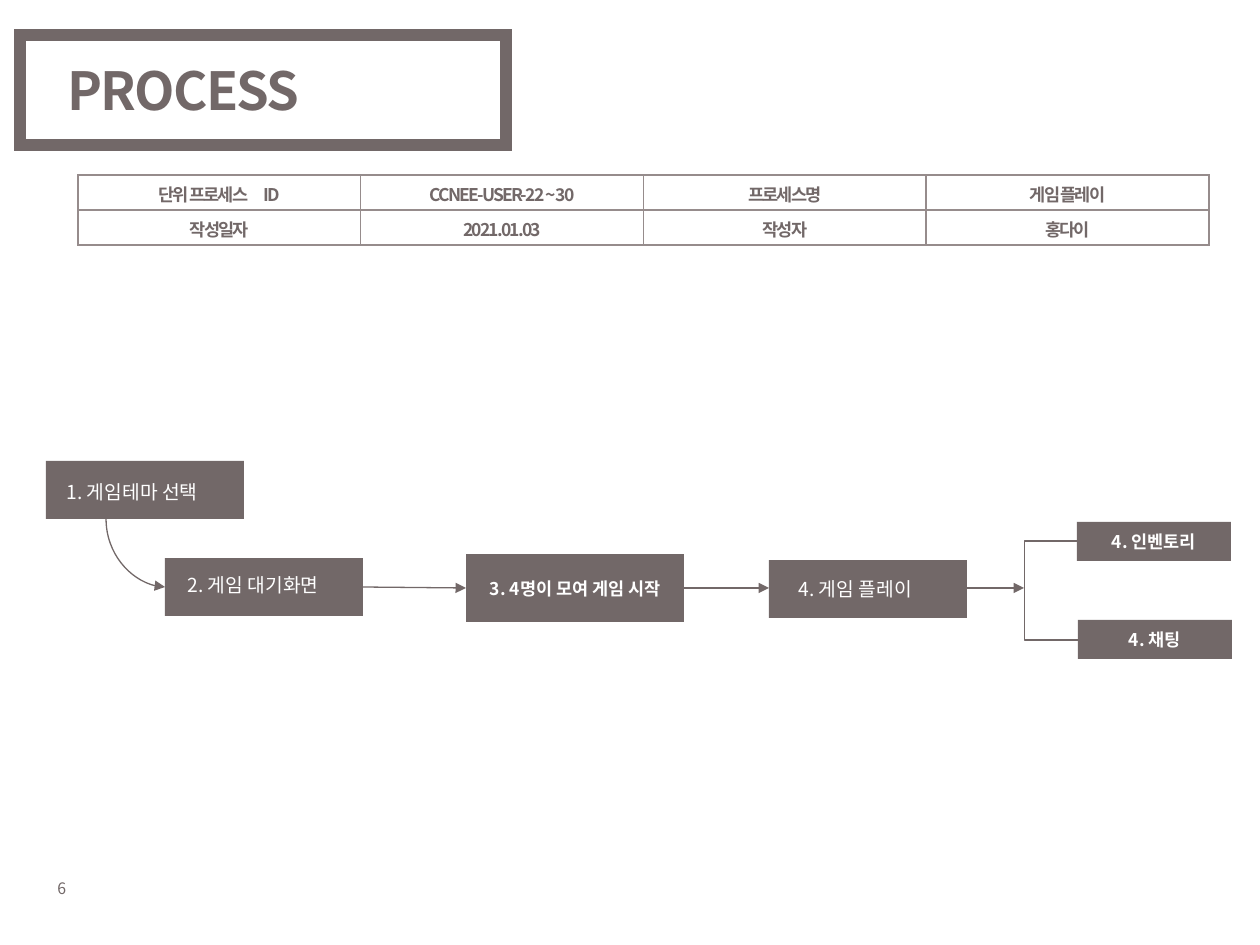
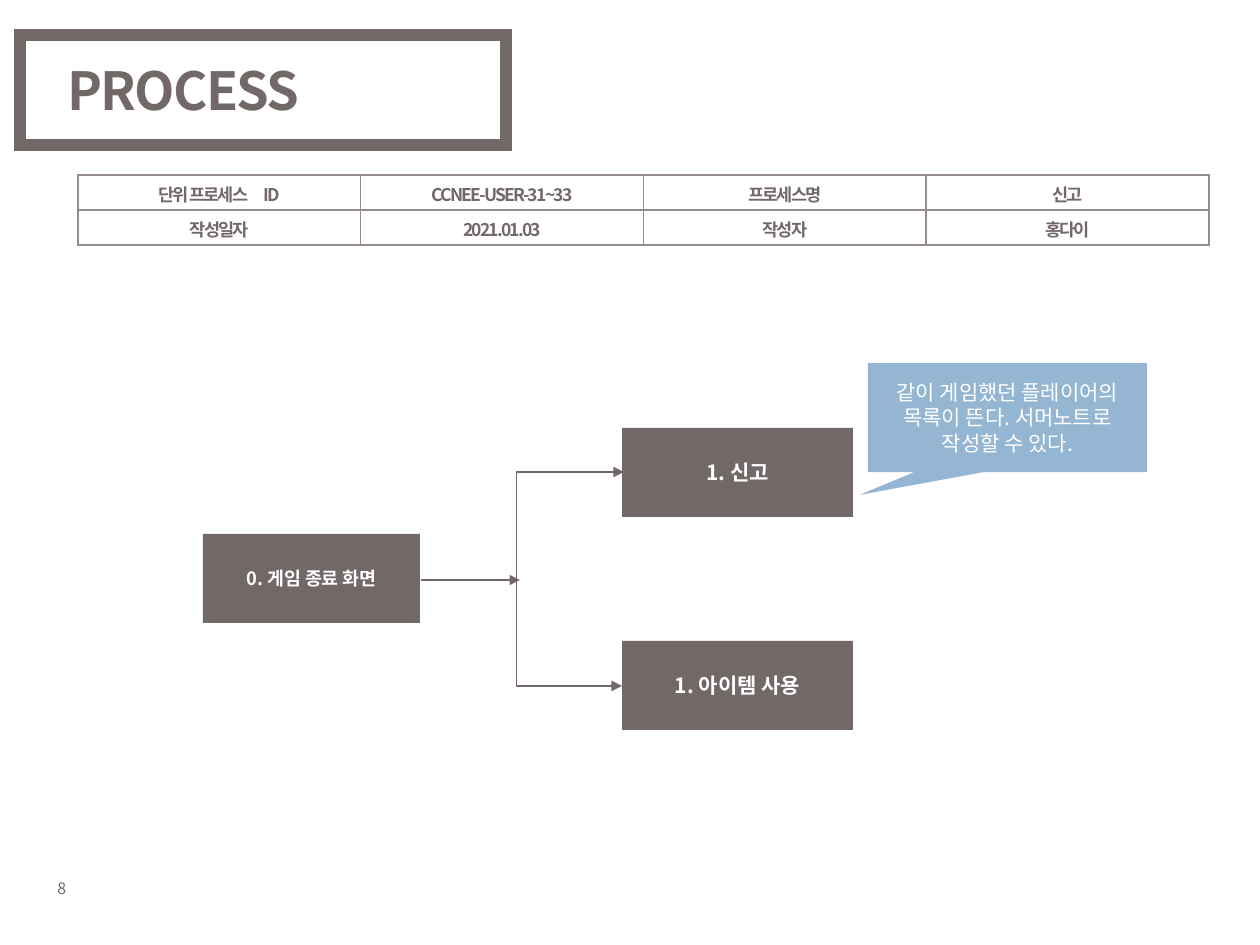
from lxml import etree
from pptx import Presentation
from pptx.dml.color import RGBColor
from pptx.enum.shapes import MSO_CONNECTOR as Link, MSO_SHAPE as Shape
from pptx.enum.text import MSO_ANCHOR as Anchor, PP_ALIGN as Align
from pptx.oxml.ns import qn
from pptx.util import Pt

PX_PER_INCH = 126
FONT = "Noto Sans CJK KR"
COLORS = {"taupe": "726868", "grid": "968C8C", "note": "94B6D2", "white": "FFFFFF"}


def px(n):
    return round(n * 914400 / PX_PER_INCH)


def rgb(name):
    return RGBColor.from_string(COLORS[name])


def add_xml(parent, tag, **attributes):
    return etree.SubElement(parent, qn(tag), attributes)


def write(frame, text, size=10, color="taupe", bold=False, align=Align.LEFT,
          anchor=Anchor.TOP, spacing=0):
    frame.word_wrap = True
    frame.vertical_anchor = anchor
    paragraph = frame.paragraphs[0]
    paragraph.alignment = align
    run = paragraph.add_run()
    run.text = text
    font = run.font
    font.size, font.bold, font.name = Pt(size), bold, FONT
    font.color.rgb = rgb(color)
    properties = run._r.get_or_add_rPr()
    add_xml(properties, "a:ea", typeface=FONT)
    if spacing:
        properties.set("spc", str(spacing * 100))


def add_text(slide, box, text, **style):
    write(slide.shapes.add_textbox(*map(px, box)).text_frame, text, **style)


def add_block(slide, box, text="", kind=Shape.RECTANGLE, fill="taupe", **style):
    block = slide.shapes.add_shape(kind, *map(px, box))
    block.shadow.inherit = False
    block.fill.solid()
    block.fill.fore_color.rgb = rgb(fill)
    block.line.fill.background()
    if text:
        write(block.text_frame, text, color="white", align=Align.CENTER,
              anchor=Anchor.MIDDLE, **style)
    return block


def add_link(slide, start, end, kind=Link.STRAIGHT, arrows=("tail",)):
    link = slide.shapes.add_connector(kind, *map(px, (*start, *end)))
    link.line.color.rgb = rgb("taupe")
    link.line.width = Pt(0.75)
    for side in arrows:
        add_xml(link.line._get_or_add_ln(), f"a:{side}End", type="triangle")
    add_xml(link._element.spPr, "a:effectLst")
    return link


def add_bracket(slide, start, end, trunk_x, arrows=()):
    """Join two points through a vertical trunk."""
    bracket = add_link(slide, start, end, Link.ELBOW, arrows)
    bend = round((trunk_x - start[0]) / (end[0] - start[0]) * 100000)
    guides = bracket._element.spPr.find(qn("a:prstGeom")).get_or_add_avLst()
    add_xml(guides, "a:gd", name="adj1", fmla=f"val {bend}")


def add_curve(slide, start, end):
    """Leave start downwards and reach end sideways: a quarter curve turned by 270 degrees."""
    (x1, y1), (x2, y2) = start, end
    mid_x, mid_y = (x1 + x2) / 2, (y1 + y2) / 2
    half_w, half_h = (y2 - y1) / 2, (x2 - x1) / 2
    curve = add_link(slide, (mid_x + half_w, mid_y - half_h),
                     (mid_x - half_w, mid_y + half_h), Link.CURVE)
    properties = curve._element.spPr
    properties.find(qn("a:prstGeom")).set("prst", "curvedConnector2")
    properties.find(qn("a:xfrm")).set("rot", str(270 * 60000))


def add_title(slide, box):
    x, y, w, h = box
    add_text(slide, (x + 35, y - 25, 903, 159), "PROCESS", size=30, bold=True,
             spacing=-1, anchor=Anchor.MIDDLE)
    frame = slide.shapes.add_shape(Shape.RECTANGLE, *map(px, box))
    frame.shadow.inherit = False
    frame.fill.background()
    frame.line.color.rgb = rgb("taupe")
    frame.line.width = Pt(7)
    add_xml(frame.line._get_or_add_ln(), "a:miter", lim="800000")


def add_summary(slide, box, process_id, process_name):
    rows = (("단위 프로세스　ID", process_id, "프로세스명", process_name),
            ("작성일자", "2021.01.03", "작성자", "홍다이"))
    table = slide.shapes.add_table(len(rows), len(rows[0]), *map(px, box)).table
    table.first_row = table.horz_banding = False
    for r, row in enumerate(rows):
        for c, text in enumerate(row):
            cell = table.cell(r, c)
            write(cell.text_frame, text, bold=True, spacing=-1, align=Align.CENTER)
            cell.vertical_anchor = Anchor.MIDDLE
            properties = cell._tc.get_or_add_tcPr()
            for side in "LRTB":
                border = add_xml(properties, f"a:ln{side}", w=str(Pt(1)))
                paint = add_xml(border, "a:solidFill")
                add_xml(paint, "a:srgbClr", val=COLORS["grid"])
            cell.fill.background()


def add_page(deck, number, process_id, process_name):
    slide = deck.slides.add_slide(deck.slide_layouts[6])
    add_text(slide, (45, 873, 66, 32), number, size=9)
    add_title(slide, (20, 35, 486, 110))
    add_summary(slide, (78, 175, 1131, 70), process_id, process_name)
    return slide


def add_play_flow(slide, left, top):
    def at(x, y):
        return left + x, top + y

    # Steps with a separate label: block place, label offset, label width
    for place, (dx, dy), width, text in (
            ((0, 0), (8, 13), 222, "1. 게임테마 선택"),
            ((119, 97), (10, 9), 305, "2. 게임 대기화면"),
            ((723, 99), (17, 11), 168, "4. 게임 플레이")):
        x, y = at(*place)
        add_block(slide, (x, y, 198, 58))
        add_text(slide, (x + dx, y + dy, width, 37), text, size=11, color="white")

    # Steps with their own text
    for place, size, text in (
            ((420, 93), (218, 68), "3. 4명이 모여 게임 시작"),
            ((1031, 61), (154, 39), "4. 인벤토리"),
            ((1032, 159), (154, 39), "4. 채팅")):
        add_block(slide, (*at(*place), *size), text, bold=True)

    # Arrows between the steps
    add_curve(slide, at(60, 58), at(119, 126))
    add_link(slide, at(316, 126), at(420, 127))
    for start_x, end_x in ((637, 723), (909, 978)):
        add_link(slide, at(start_x, 127), at(end_x, 127))
    add_bracket(slide, at(1031, 80), at(1032, 179), left + 978)


def add_report_flow(slide, left, top):
    def at(x, y):
        return left + x, top + y

    # Screen and its two choices
    for place, width, size, text in (
            ((0, 171), 217, 10.5, "0. 게임 종료 화면"),
            ((419, 65), 231, 12, "1. 신고"),
            ((419, 278), 231, 12, "1. 아이템 사용")):
        add_block(slide, (*at(*place), width, 89), text, size=size, bold=True)

    # Note on the report choice
    note = add_block(slide, (*at(665, 0), 279, 109),
                     "같이 게임했던 플레이어의 목록이 뜬다. 서머노트로 작성할 수 있다.",
                     kind=Shape.RECTANGULAR_CALLOUT, fill="note", size=12)
    note.adjustments[0], note.adjustments[1] = -0.53, 0.71

    # Arrows
    add_bracket(slide, at(421, 109), at(419, 323), left + 313, arrows=("head", "tail"))
    add_link(slide, at(218, 217), at(317, 217))


def main():
    deck = Presentation()
    deck.slide_width, deck.slide_height = px(1260), px(945)
    add_play_flow(add_page(deck, "6", "CCNEE-USER-22 ~ 30", "게임 플레이"), 46, 461)
    add_report_flow(add_page(deck, "8", "CCNEE-USER-31~33", "신고"), 203, 363)
    deck.save("out.pptx")


if __name__ == "__main__":
    main()
